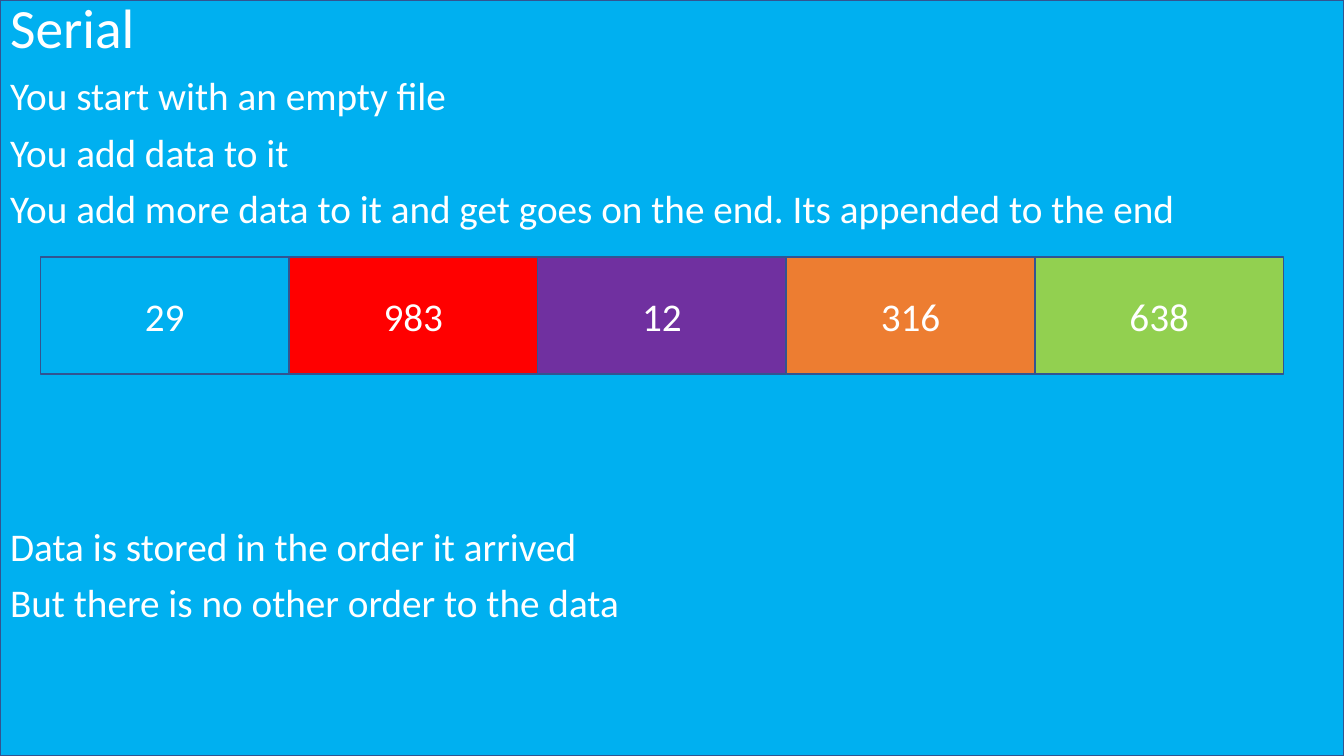
from dataclasses import dataclass
from typing import Any

from pptx import Presentation
from pptx import util as u
from pptx.dml import color
from pptx.enum import shapes, text
from pptx.oxml import ns

W, H = u.Inches(13.333), u.Inches(7.5)
FONT, WHITE, SKY, EDGE = "Calibri", "FFFFFF", "00B0F0", "325491"
LINE_PITCH = 40.2  # points from one body line to the next
GAP = u.Pt(10)


@dataclass(frozen=True)
class Box:
    """A frame given as shares of the slide's width and height."""
    x: float
    y: float
    w: float
    h: float

    def frame(self) -> dict[str, int]:
        """Return the frame as shape attributes."""
        return {"left": int(self.x * W), "top": int(self.y * H),
                "width": int(self.w * W), "height": int(self.h * H)}

    def column(self, i: int, count: int) -> "Box":
        """Return the i-th of several equal columns."""
        w = self.w / count
        return Box(self.x + i * w, self.y, w, self.h)


@dataclass(frozen=True)
class Record:
    """One value stored in the serial file."""
    value: str
    fill: str


@dataclass(frozen=True)
class Line:
    """One line of body text, with blank lines left above it."""
    words: str
    lines_above: int = 0


FULL = Box(0, 0, 1, 1)
TITLE = Box(0, 0, 1, 0.08)
BODY = Box(0, 0.095, 1, 0.905)
FILE = Box(0.03, 0.34, 0.925, 0.155)

LINES = [
    Line("You start with an empty file"),
    Line("You add data to it"),
    Line("You add more data to it and get goes on the end. Its appended to the end"),
    Line("Data is stored in the order it arrived", lines_above=5),
    Line("But there is no other order to the data"),
]
RECORDS = [Record("29", SKY), Record("983", "FF0000"), Record("12", "7030A0"),
           Record("316", "ED7D31"), Record("638", "92D050")]


def rgb(code: str) -> color.RGBColor:
    """Turn a hex string into a colour."""
    return color.RGBColor.from_string(code)


def apply(obj: Any, values: dict[str, Any]) -> None:
    """Set each attribute of an object from a dict."""
    for name, value in values.items():
        setattr(obj, name, value)


def write(p: Any, words: str, size: float, **layout: Any) -> None:
    """Write one white run and lay out its paragraph."""
    r = p.add_run()
    r.text = words
    apply(r.font, {"name": FONT, "size": u.Pt(size)})
    r.font.color.rgb = rgb(WHITE)
    apply(p, layout)


def add_rect(slide: Any, box: Box, fill: str) -> Any:
    """Add a flat, outlined rectangle."""
    sp = slide.shapes.add_shape(shapes.MSO_SHAPE.RECTANGLE, **box.frame())
    sp.shadow.inherit = False
    sp.fill.solid()
    sp.fill.fore_color.rgb = rgb(fill)
    sp.line.color.rgb = rgb(EDGE)
    sp.line.width = u.Pt(1)
    return sp


def place(sp: Any, box: Box, anchor: text.MSO_ANCHOR) -> Any:
    """Move a placeholder and return its text frame."""
    apply(sp, box.frame())
    tf = sp.text_frame
    apply(tf, {"word_wrap": True, "auto_size": text.MSO_AUTO_SIZE.NONE,
               "vertical_anchor": anchor})
    return tf


def remove_bullet(p: Any) -> None:
    """Drop a paragraph's bullet and its indent."""
    pPr = p._p.get_or_add_pPr()
    pPr.set("marL", "0")
    pPr.set("indent", "0")
    pPr.append(pPr.makeelement(ns.qn("a:buNone"), {}))


def add_body(sp: Any) -> None:
    """Fill the body placeholder with its lines."""
    tf = place(sp, BODY, text.MSO_ANCHOR.TOP)
    for i, line in enumerate(LINES):
        p = tf.add_paragraph() if i else tf.paragraphs[0]
        write(p, line.words, 28, alignment=text.PP_ALIGN.LEFT, line_spacing=0.9,
              space_before=GAP + u.Pt(line.lines_above * LINE_PITCH))
        remove_bullet(p)


def add_record(slide: Any, record: Record, box: Box) -> None:
    """Draw one record of the file."""
    sp = add_rect(slide, box, record.fill)
    tf = sp.text_frame
    tf.vertical_anchor = text.MSO_ANCHOR.MIDDLE
    write(tf.paragraphs[0], record.value, 28, alignment=text.PP_ALIGN.CENTER)


def main() -> None:
    """Build the slide and save it."""
    prs = Presentation()
    apply(prs, {"slide_width": W, "slide_height": H})
    slide = prs.slides.add_slide(prs.slide_layouts[1])

    backdrop = add_rect(slide, FULL, SKY)
    slide.shapes._spTree.insert(2, backdrop._element)

    tf = place(slide.shapes.title, TITLE, text.MSO_ANCHOR.MIDDLE)
    write(tf.paragraphs[0], "Serial", 39.6, alignment=text.PP_ALIGN.LEFT,
          line_spacing=0.9)
    add_body(slide.placeholders[1])
    for i, record in enumerate(RECORDS):
        add_record(slide, record, FILE.column(i, len(RECORDS)))
    prs.save("out.pptx")


main()
